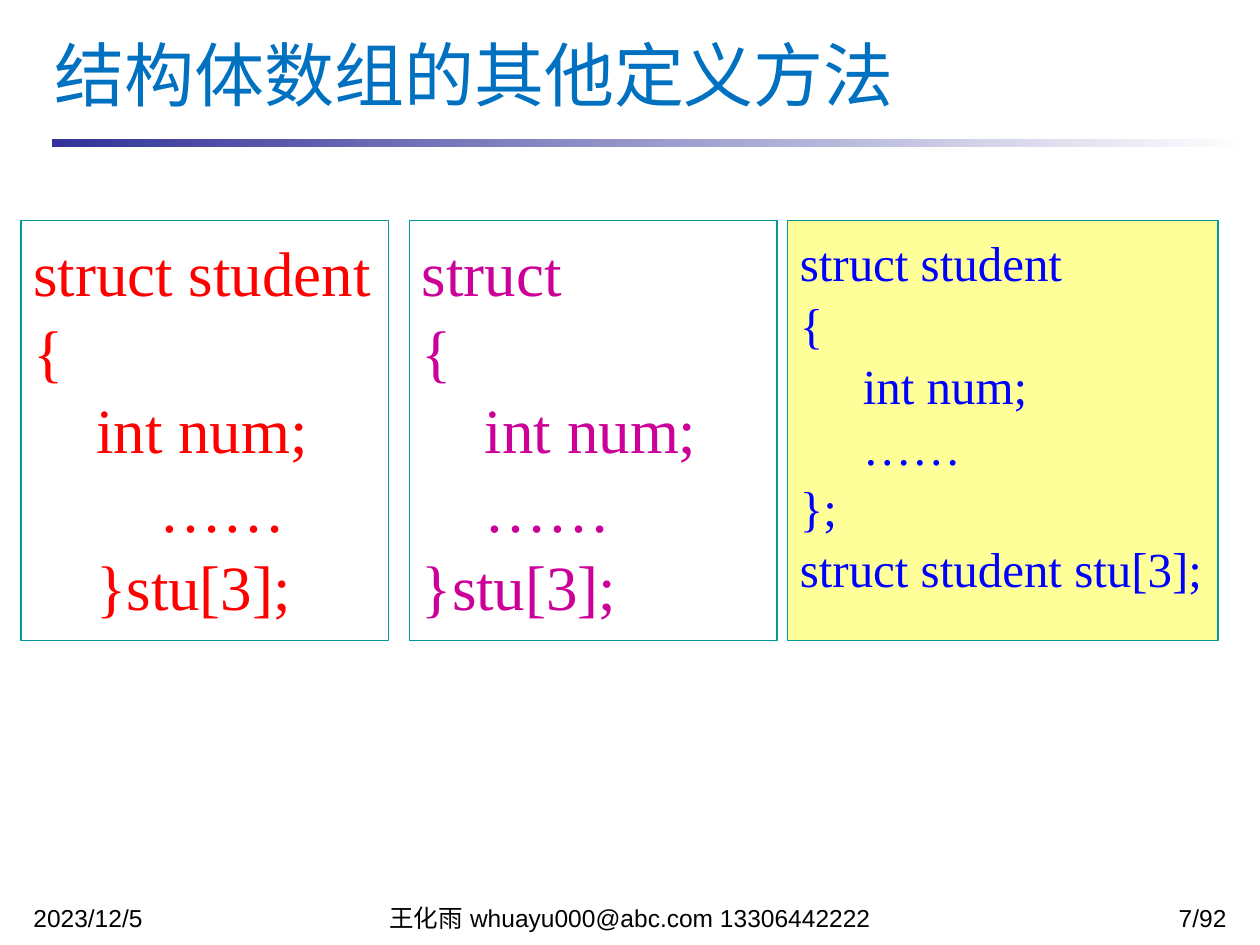
from pptx import Presentation
from pptx.dml.color import RGBColor
from pptx.enum.shapes import MSO_SHAPE as Shape
from pptx.enum.text import MSO_ANCHOR as Anchor, MSO_AUTO_SIZE as AutoSize, PP_ALIGN as Align
from pptx.oxml.ns import qn
from pptx.util import Inches, Pt

WHITE = RGBColor(0xFF, 0xFF, 0xFF)
BLACK = RGBColor(0, 0, 0)
INDIGO = RGBColor(0x33, 0x33, 0x99)
TITLE_BLUE = RGBColor(0, 0x70, 0xC0)
TEAL = RGBColor(0, 0x99, 0x99)
RED = RGBColor(0xFF, 0, 0)
MAGENTA = RGBColor(0xCC, 0, 0x99)
BLUE = RGBColor(0, 0, 0xFF)
YELLOW = RGBColor(0xFF, 0xFF, 0x99)

CELLS_PER_INCH = 12
PANEL_TOP, PANEL_HEIGHT = 21, 40
FOOTER_TOP, FOOTER_HEIGHT = 86, 2.2


def grid(*cells):
    return [Inches(cell / CELLS_PER_INCH) for cell in cells]


def style_para(para, font, size, color):
    for span in para.runs:
        span.font.name = font
        span.font.size = Pt(size)
        span.font.color.rgb = color
        east_asian = span.font._element.makeelement(qn("a:ea"), {"typeface": font})
        span.font._element.find(qn("a:latin")).addnext(east_asian)


def add_title(page, text):
    title = page.shapes.title
    title.left, title.top, title.width, title.height = grid(4, 2, 112, 10)
    frame = title.text_frame
    frame.text = text
    frame.vertical_anchor = Anchor.MIDDLE
    frame.auto_size = AutoSize.NONE
    frame.paragraphs[0].alignment = Align.LEFT
    style_para(frame.paragraphs[0], "Noto Sans CJK SC", 40, TITLE_BLUE)


def add_rule(page):
    rule = page.shapes.add_shape(Shape.RECTANGLE, *grid(4.95, 13.27, 114.1, 0.75))
    rule.shadow.inherit = False
    rule.line.fill.background()
    rule.fill.gradient()
    rule.fill.gradient_angle = 0
    for stop, color in zip(rule.fill.gradient_stops, (INDIGO, WHITE)):
        stop.color.rgb = color


def add_code_panel(page, left, width, lines, size, color, fill=None, indented=0):
    panel = page.shapes.add_shape(
        Shape.RECTANGLE, *grid(left, PANEL_TOP, width, PANEL_HEIGHT))
    panel.shadow.inherit = False
    panel.line.color.rgb = TEAL
    panel.line.width = Pt(0.75)
    if fill is None:
        panel.fill.background()
    else:
        panel.fill.solid()
        panel.fill.fore_color.rgb = fill
    frame = panel.text_frame
    frame.word_wrap = False
    frame.vertical_anchor = Anchor.TOP
    frame.margin_top = Inches(0.08)
    frame.text = "\n".join(lines)
    for index, para in enumerate(frame.paragraphs):
        para.alignment = Align.LEFT
        para.line_spacing = 1.04
        if index >= len(lines) - indented:
            para.level = 1
            para._p.get_or_add_pPr().set("marL", str(Inches(0.5)))
            para._p.get_or_add_pPr().set("indent", "0")
        style_para(para, "Times New Roman", size, color)


def add_footer(page, left, width, text, alignment):
    box = page.shapes.add_textbox(*grid(left, FOOTER_TOP, width, FOOTER_HEIGHT))
    frame = box.text_frame
    frame.word_wrap = True
    frame.text = text
    para = frame.paragraphs[0]
    para.alignment = alignment
    para.line_spacing = 0.8
    style_para(para, "Arial", 14, BLACK)


def main():
    deck = Presentation()
    deck.slide_width, deck.slide_height = Inches(10), Inches(7.5)
    page = deck.slides.add_slide(deck.slide_layouts[5])

    add_rule(page)
    add_footer(page, 2, 28, "2023/12/5", Align.LEFT)
    add_footer(page, 31, 58, "王化雨 whuayu000@abc.com 13306442222", Align.CENTER)
    add_footer(page, 95, 23, "7/92", Align.RIGHT)
    add_title(page, "结构体数组的其他定义方法")

    members = ["{", "\tint num;", "\t……"]
    add_code_panel(page, 2, 35, ["struct student", *members, "}stu[3];"],
                   36, RED, indented=2)
    add_code_panel(page, 39, 35, ["struct", *members, "}stu[3];"], 36, MAGENTA)
    add_code_panel(page, 75, 41,
                   ["struct student", *members, "};", "struct student stu[3];"],
                   28, BLUE, fill=YELLOW)

    deck.save("out.pptx")


if __name__ == "__main__":
    main()
